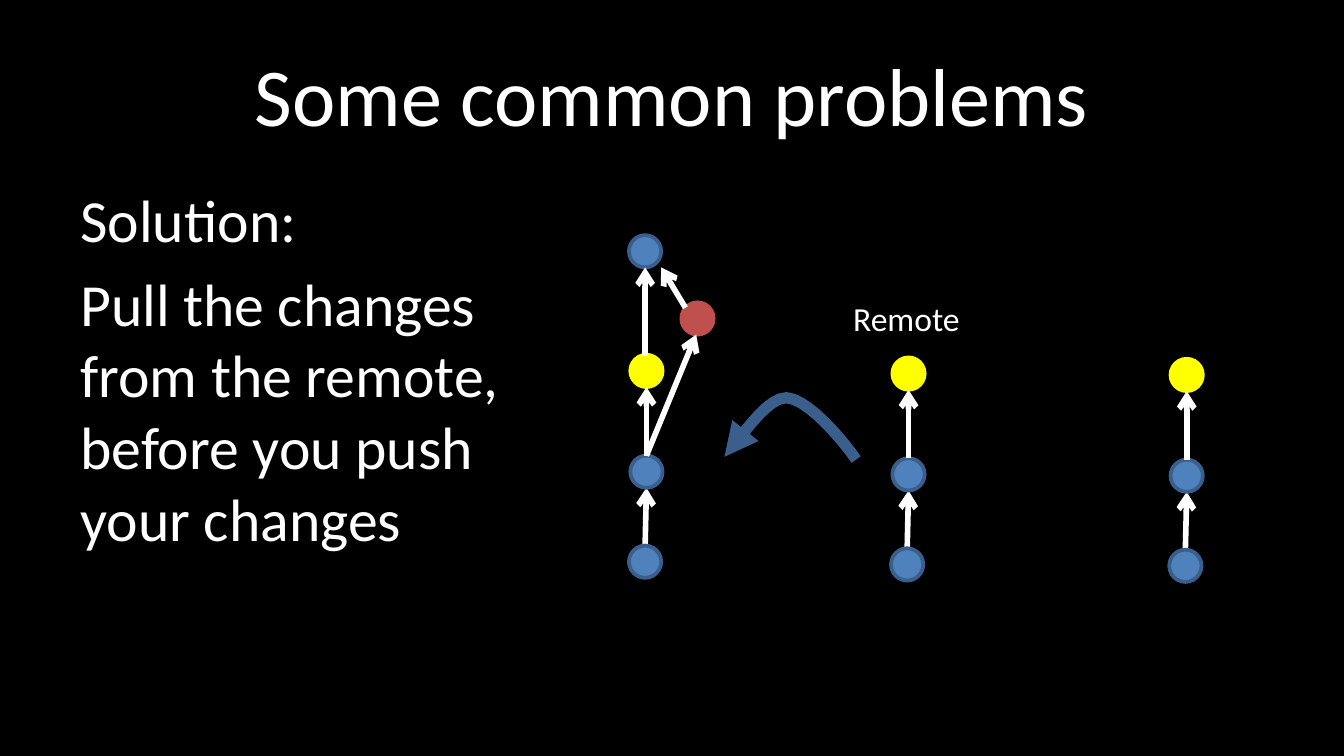
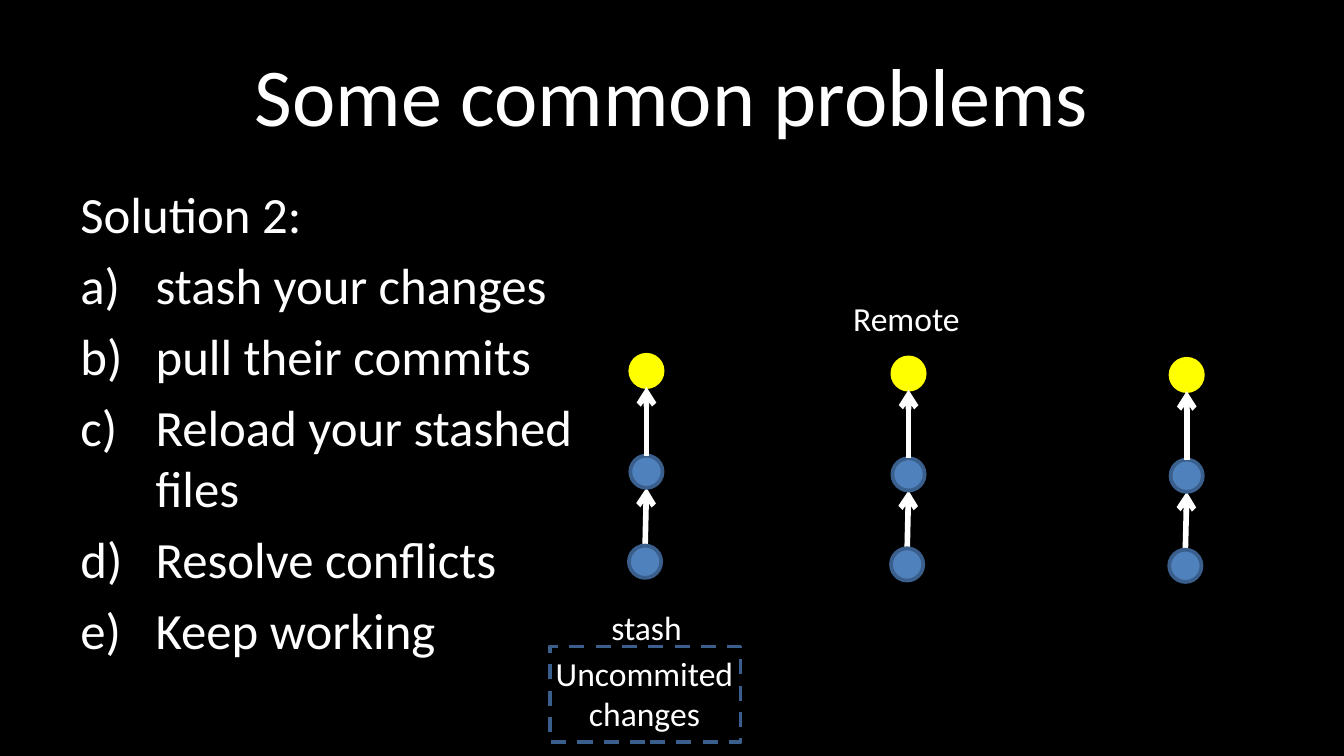
from dataclasses import dataclass

from lxml import etree
from pptx import Presentation
from pptx import util as u
from pptx.dml.color import RGBColor
from pptx.enum import dml, shapes, text
from pptx.oxml import ns


@dataclass(frozen=True)
class Theme:
    font: str = "Calibri"
    background: str = "000000"
    ink: str = "FFFFFF"
    blue: str = "4F81BD"
    outline: str = "3A5F8C"
    yellow: str = "FFFF00"
    red: str = "C0504D"
    title_size: float = 44
    label_size: float = 18
    arrow_width: float = 3
    outline_width: float = 2
    curve_width: float = 6


THEME = Theme()
SLIDE_WIDTH = 10
SLIDE_HEIGHT = SLIDE_WIDTH * 9 / 16
TITLE = "Some common problems"
TITLE_BOX = (0.5, 0.23, 9, 0.94)
BODY_BOX = (0.5, 1.31, 3.87, 3.71)
REMOTE_BOX = (6.25, 2.17, 1, 0.4)
STASH_LABEL_BOX = (4.45, 4.47, 0.73, 0.4)
STASH_TEXT_BOX = (3.94, 4.81, 1.71, 0.71)
STASH_FRAME = (4.09, 4.81, 1.42, 0.71)

PULL_SOLUTION = ["Solution:", "Pull the changes from the remote, before you push your changes"]
STASH_HEADING = ["Solution 2:"]
STASH_STEPS = [
    "stash your changes",
    "pull their commits",
    "Reload your stashed files",
    "Resolve conflicts",
    "Keep working",
]

DOT = 0.24
BRANCHES = [(4.69, 3.39), (6.64, 3.41), (8.71, 3.42)]
MERGE_DOTS = [((5.07, 2.25), THEME.red, THEME.red), ((4.68, 1.75), THEME.blue, THEME.outline)]
MERGE_ARROWS = [
    ((4.81, 3.39), (5.18, 2.49)),
    ((5.1, 2.29), (4.92, 1.99)),
    ((4.8, 2.65), (4.8, 1.99)),
]
PULL_CURVE = [
    ((6.37, 3.42), (6.28, 3.29), (6.02, 2.97), (5.85, 2.96)),
    ((5.85, 2.96), (5.69, 2.96), (5.48, 3.31), (5.39, 3.4)),
]
CURVE_STEPS = 10


def inches(values):
    return [u.Inches(value) for value in values]


def color(value):
    return RGBColor.from_string(value)


def set_line(item, line_color, width, arrowhead=None):
    item.line.color.rgb = color(line_color)
    item.line.width = u.Pt(width)
    if arrowhead:
        line = item.line._get_or_add_ln()
        etree.SubElement(line, ns.qn("a:tailEnd"), type=arrowhead)


def add_paragraph(frame, words, size, first, align=None, space=0, numbered=False):
    paragraph = frame.paragraphs[0] if first else frame.add_paragraph()
    paragraph.alignment = align
    paragraph.space_before = u.Pt(space)
    if numbered:
        properties = paragraph._p.get_or_add_pPr()
        properties.set("marL", str(u.Inches(0.56)))
        properties.set("indent", str(-u.Inches(0.56)))
        etree.SubElement(properties, ns.qn("a:buFont"), typeface=THEME.font)
        etree.SubElement(properties, ns.qn("a:buAutoNum"), type="alphaLcParenR")
    run = paragraph.add_run()
    run.text = words
    run.font.name = THEME.font
    run.font.size = u.Pt(size)
    run.font.color.rgb = color(THEME.ink)


def add_text(slide, box, words, size, align=None, wrap=True, anchor=text.MSO_ANCHOR.TOP):
    frame = slide.shapes.add_textbox(*inches(box)).text_frame
    frame.word_wrap = wrap
    frame.vertical_anchor = anchor
    add_paragraph(frame, words, size, True, align)


def add_body(slide, plain, steps, size):
    frame = slide.shapes.add_textbox(*inches(BODY_BOX)).text_frame
    frame.word_wrap = True
    for index, words in enumerate(plain + steps):
        add_paragraph(frame, words, size, index == 0, space=size * 0.2,
                      numbered=index >= len(plain))


def add_arrow(slide, start, end):
    connector = slide.shapes.add_connector(
        shapes.MSO_CONNECTOR.STRAIGHT, *inches(start + end))
    set_line(connector, THEME.ink, THEME.arrow_width, "arrow")
    etree.SubElement(connector._element.spPr, ns.qn("a:effectLst"))


def add_dot(slide, corner, fill, outline):
    dot = slide.shapes.add_shape(shapes.MSO_SHAPE.OVAL, *inches(corner + (DOT, DOT)))
    dot.shadow.inherit = False
    dot.fill.solid()
    dot.fill.fore_color.rgb = color(fill)
    set_line(dot, outline, THEME.outline_width)


def add_branch(slide, left, top):
    center = left + DOT / 2
    oldest, newest = top + 0.67, top - 0.75
    add_arrow(slide, (center - 0.01, oldest), (center, top + DOT))
    add_dot(slide, (left, top), THEME.blue, THEME.outline)
    add_dot(slide, (left - 0.01, oldest), THEME.blue, THEME.outline)
    add_dot(slide, (left, newest), THEME.yellow, THEME.yellow)
    add_arrow(slide, (center, top), (center, newest + DOT))


def bezier_point(controls, t):
    weights = ((1 - t) ** 3, 3 * t * (1 - t) ** 2, 3 * t ** 2 * (1 - t), t ** 3)
    return tuple(u.Inches(sum(weight * point[axis] for weight, point in zip(weights, controls)))
                 for axis in (0, 1))


def add_pull_curve(slide):
    points = [bezier_point(controls, step / CURVE_STEPS)
              for controls in PULL_CURVE for step in range(1, CURVE_STEPS + 1)]
    builder = slide.shapes.build_freeform(*inches(PULL_CURVE[0][0]))
    builder.add_line_segments(points, close=False)
    curve = builder.convert_to_shape()
    curve.shadow.inherit = False
    curve.fill.background()
    set_line(curve, THEME.outline, THEME.curve_width, "triangle")


def add_problem_slide(presentation, plain, steps, size):
    slide = presentation.slides.add_slide(presentation.slide_layouts[6])
    slide.background.fill.solid()
    slide.background.fill.fore_color.rgb = color(THEME.background)
    add_text(slide, TITLE_BOX, TITLE, THEME.title_size,
             text.PP_ALIGN.CENTER, anchor=text.MSO_ANCHOR.MIDDLE)
    add_body(slide, plain, steps, size)
    for left, top in BRANCHES:
        add_branch(slide, left, top)
    add_text(slide, REMOTE_BOX, "Remote", THEME.label_size, wrap=False)
    return slide


def add_merge(slide):
    for corner, fill, outline in MERGE_DOTS:
        add_dot(slide, corner, fill, outline)
    for start, end in MERGE_ARROWS:
        add_arrow(slide, start, end)
    add_pull_curve(slide)


def add_stash(slide):
    add_text(slide, STASH_TEXT_BOX, "Uncommited changes", THEME.label_size,
             text.PP_ALIGN.CENTER)
    frame = slide.shapes.add_shape(shapes.MSO_SHAPE.RECTANGLE, *inches(STASH_FRAME))
    frame.shadow.inherit = False
    frame.fill.background()
    set_line(frame, THEME.outline, THEME.outline_width)
    frame.line.dash_style = dml.MSO_LINE.DASH
    add_text(slide, STASH_LABEL_BOX, "stash", THEME.label_size, wrap=False)


def main():
    presentation = Presentation()
    presentation.slide_width = u.Inches(SLIDE_WIDTH)
    presentation.slide_height = u.Inches(SLIDE_HEIGHT)
    add_merge(add_problem_slide(presentation, PULL_SOLUTION, [], 32))
    add_stash(add_problem_slide(presentation, STASH_HEADING, STASH_STEPS, 27.2))
    presentation.save("out.pptx")


if __name__ == "__main__":
    main()
